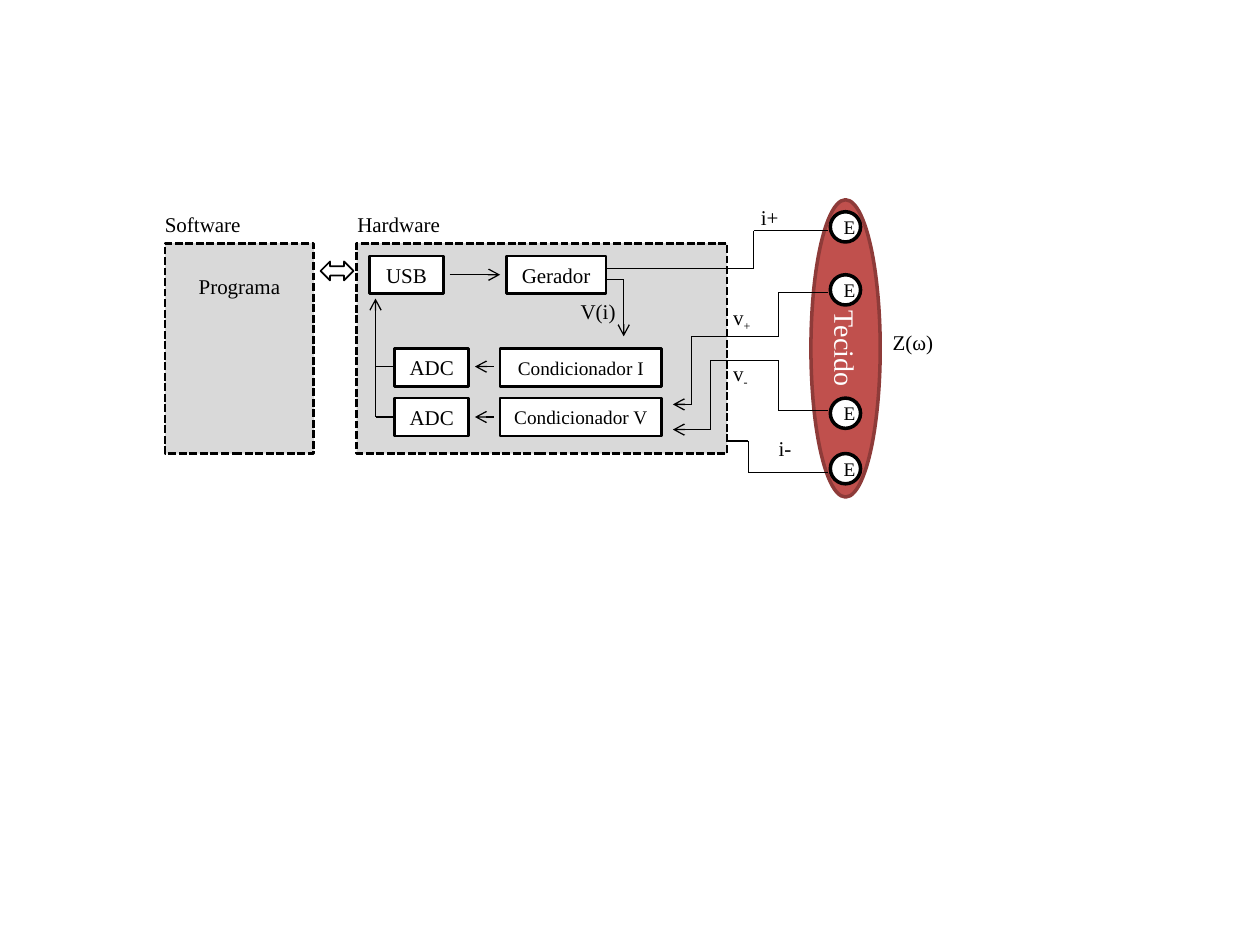
from itertools import pairwise

from pptx import Presentation
from pptx.dml.color import RGBColor
from pptx.enum.dml import MSO_LINE_DASH_STYLE as Dash
from pptx.enum.shapes import MSO_CONNECTOR as Connector, MSO_SHAPE as Shape
from pptx.enum.text import MSO_ANCHOR as Anchor, MSO_AUTO_SIZE as AutoSize, PP_ALIGN as Align
from pptx.oxml.ns import qn
from pptx.util import Pt
from lxml.etree import SubElement

COLORS = {"ink": "000000", "panel": "D9D9D9", "paper": "FFFFFF",
          "tissue": "C0504D", "tissue_edge": "8E3B39"}
FONT = "Times New Roman"


class Diagram:
    def __init__(self, slide):
        self.slide = slide

    def color(self, name):
        return RGBColor.from_string(COLORS[name])

    def add_runs(self, shape, runs, size, color="ink", align=Align.CENTER):
        """Add (text, is_subscript) runs to the first paragraph."""
        paragraph = shape.text_frame.paragraphs[0]
        paragraph.alignment = align
        for text, subscript in runs:
            run = paragraph.add_run()
            run.text = text
            run.font.name = FONT
            run.font.size = Pt(size)
            run.font.color.rgb = self.color(color)
            if subscript:
                run.font._element.set("baseline", "-25000")

    def block(self, kind, left, top, width, height, text="", size=12, fill="paper",
              line="ink", weight=1.5, text_color="ink"):
        shape = self.slide.shapes.add_shape(kind, Pt(left), Pt(top), Pt(width), Pt(height))
        shape.shadow.inherit = False
        shape.fill.solid()
        shape.fill.fore_color.rgb = self.color(fill)
        shape.line.color.rgb = self.color(line)
        shape.line.width = Pt(weight)
        shape.text_frame.vertical_anchor = Anchor.MIDDLE
        if text:
            self.add_runs(shape, [(text, False)], size, text_color)
        return shape

    def panel(self, left, width, text=""):
        shape = self.block(Shape.RECTANGLE, left, 139, width, 120.2, text, fill="panel")
        shape.line.dash_style = Dash.SQUARE_DOT
        shape.text_frame.vertical_anchor = Anchor.TOP
        shape.text_frame.margin_top = Pt(17.4)

    def label(self, left, top, width, text, subscript="", align=Align.LEFT):
        box = self.slide.shapes.add_textbox(Pt(left), Pt(top), Pt(width), Pt(21.6))
        box.text_frame.word_wrap = False
        box.text_frame.auto_size = AutoSize.SHAPE_TO_FIT_TEXT
        runs = [(text, False)] + ([(subscript, True)] if subscript else [])
        self.add_runs(box, runs, 12, align=align)

    def wire(self, points, arrow=False):
        """Join the points with straight segments, with an optional final arrowhead."""
        for start, end in pairwise(points):
            connector = self.slide.shapes.add_connector(
                Connector.STRAIGHT, *(Pt(value) for value in start + end))
            connector.line.color.rgb = self.color("ink")
            connector.line.width = Pt(0.75)
            properties = connector._element.spPr
            if arrow and end == points[-1]:
                SubElement(properties.find(qn("a:ln")), qn("a:tailEnd"), type="arrow")
            SubElement(properties, qn("a:effectLst"))


def main():
    presentation = Presentation()
    presentation.slide_width, presentation.slide_height = Pt(720), Pt(540)
    diagram = Diagram(presentation.slides.add_slide(presentation.slide_layouts[6]))

    # Software and hardware panels
    diagram.block(Shape.LEFT_RIGHT_ARROW, 183.2, 149.4, 18.8, 10.8, weight=1)
    diagram.panel(94.3, 85, "Programa")
    diagram.panel(203.8, 211.7)

    # Tissue, turned a quarter, with its four electrodes
    tissue = diagram.block(Shape.OVAL, 398.2, 179.3, 169.9, 39.6, "Tecido", 16,
                           "tissue", "tissue_edge", 2, "paper")
    tissue.rotation = 90
    for top in (121, 157, 227.5, 259.2):
        diagram.block(Shape.OVAL, 474.5, top, 17.3, 17.3, "E", 11, weight=2)

    # Hardware blocks
    for left, top, width, text, size in (
            (211, 146.2, 42.5, "USB", 12),
            (289.4, 146.2, 56.9, "Gerador", 12),
            (225.4, 199.2, 42.5, "ADC", 12),
            (225.4, 227.5, 42.5, "ADC", 12),
            (285.8, 199.2, 92.2, "Condicionador I", 11),
            (285.8, 227.5, 92.2, "Condicionador V", 11)):
        diagram.block(Shape.RECTANGLE, left, top, width, 21.6, text, size)

    # Electrode wires
    diagram.wire([(473, 131.8), (430.6, 131.8), (430.6, 153.4), (345.6, 153.4)])
    diagram.wire([(473, 167), (445, 167), (445, 192.2), (395.3, 192.2),
                  (395.3, 231.1), (384.5, 231.1)], arrow=True)
    diagram.wire([(473, 234.7), (445, 234.7), (445, 205.9), (406.1, 205.9),
                  (406.1, 245.5), (384.5, 245.5)], arrow=True)
    diagram.wire([(473, 270), (427.7, 270), (427.7, 252), (415.4, 252)])

    # Signal flow inside the hardware
    diagram.wire([(257, 157), (285.8, 157)], arrow=True)
    diagram.wire([(345.6, 159.8), (356.4, 159.8), (356.4, 192.2)], arrow=True)
    for y in (209.5, 238.3):
        diagram.wire([(282.2, y), (271.4, y)], arrow=True)
    diagram.wire([(225.4, 209.5), (214.6, 209.5)])
    diagram.wire([(225.4, 238.3), (214.6, 238.3), (214.6, 170.6)], arrow=True)

    # Labels
    diagram.label(87.1, 117.4, 58.3, "Software")
    diagram.label(197.1, 117.4, 62.6, "Hardware")
    diagram.label(427.7, 113.4, 24.5, "i+")
    diagram.label(437.8, 245.5, 22.3, "i-")
    diagram.label(411.8, 170.6, 25.2, "v", "+")
    diagram.label(411.8, 202.3, 23, "v", "-")
    diagram.label(324.7, 167, 34.6, "V(i)")
    diagram.label(502.6, 185, 38.2, "Z(ω)", align=Align.CENTER)

    presentation.save("out.pptx")


if __name__ == "__main__":
    main()
